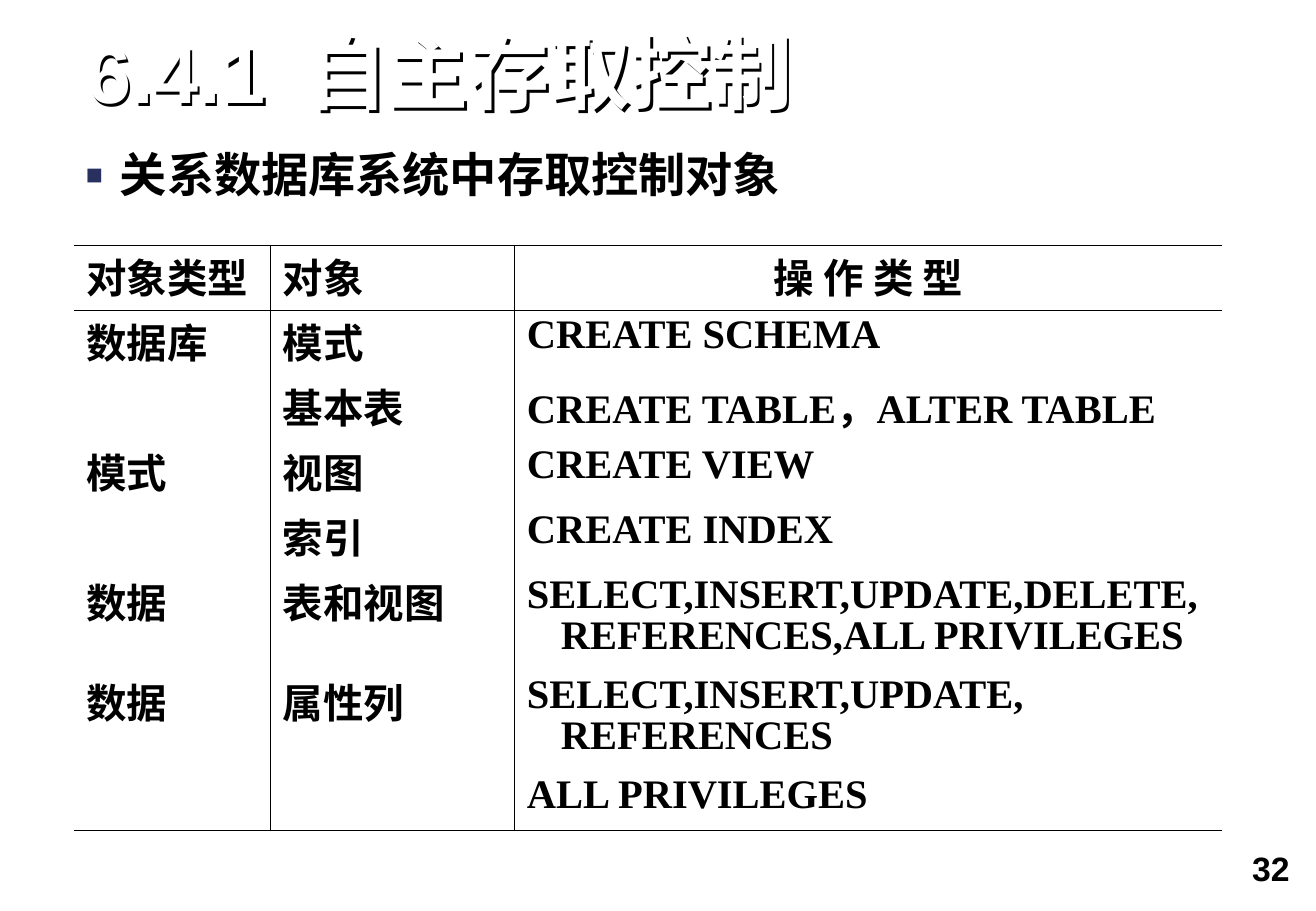
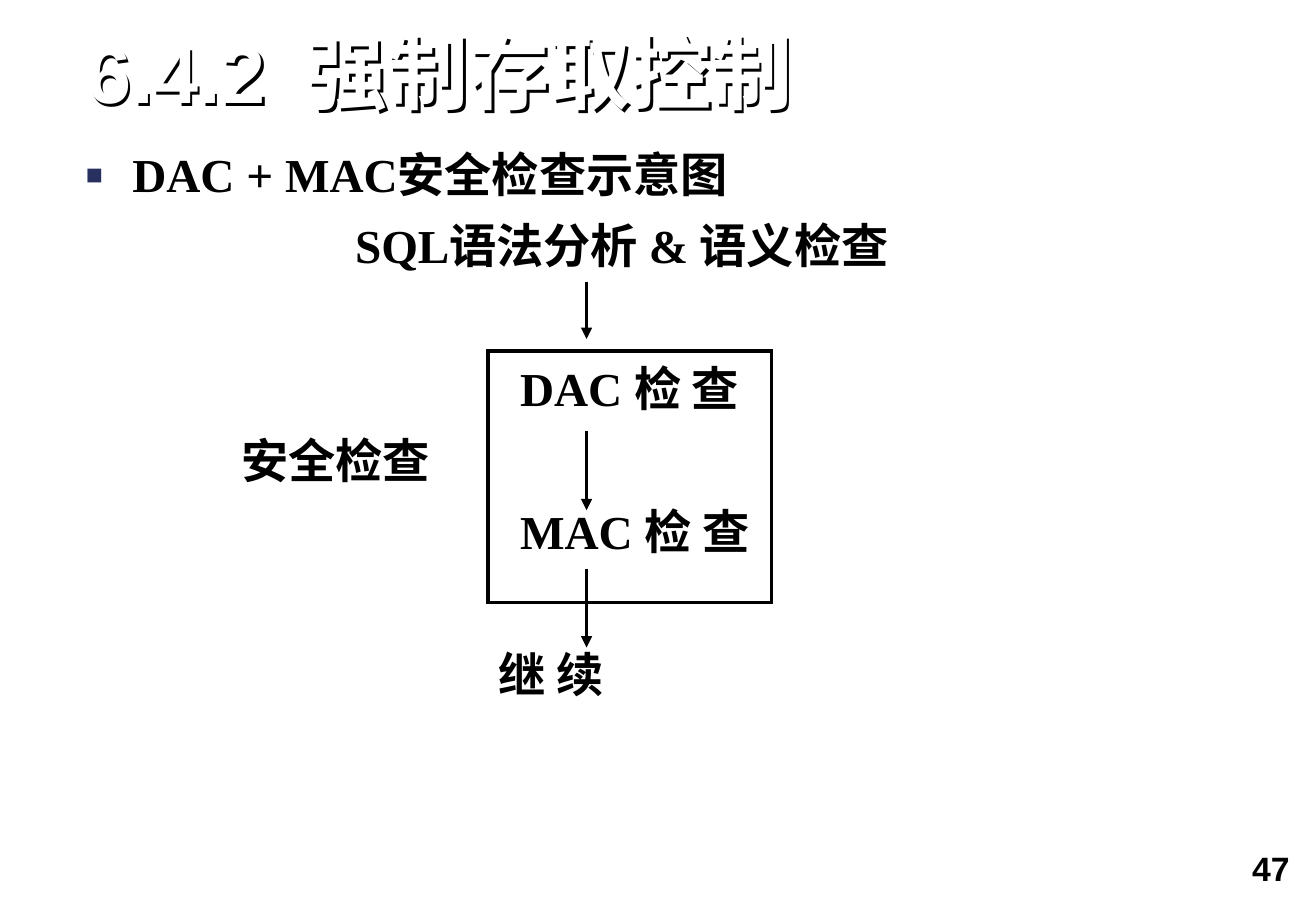
"""Builds two slides on database access control."""
from lxml import etree
from pptx import Presentation
from pptx.dml.color import RGBColor
from pptx.enum.shapes import MSO_CONNECTOR, MSO_SHAPE
from pptx.enum.text import MSO_ANCHOR, MSO_AUTO_SIZE, PP_ALIGN
from pptx.oxml.ns import qn
from pptx.util import Cm, Pt

LEFT, RIGHT, MID = PP_ALIGN.LEFT, PP_ALIGN.RIGHT, PP_ALIGN.CENTER
BOTTOM = MSO_ANCHOR.BOTTOM
GROW = MSO_AUTO_SIZE.SHAPE_TO_FIT_TEXT
LINE, RECT = MSO_CONNECTOR.STRAIGHT, MSO_SHAPE.RECTANGLE
COLORS = {"ink": "000000", "title": "FFFFFF", "mark": "27305F"}
SANS, SERIF = "Arial", "Times New Roman"
HANG, PITCH = 0.71, 0.9

COLS = [4.11, 5.11, 14.8]
ROWS = [1.36] * 5 + [2.09] * 2 + [1.25]
CELLS = [
    ("对象类型", "对象", "操 作 类 型"),
    ("数据库", "模式", "CREATE SCHEMA"),
    ("", "基本表", "CREATE TABLE，ALTER TABLE"),
    ("模式", "视图", "CREATE VIEW"),
    ("", "索引", "CREATE INDEX"),
    ("数据", "表和视图", "SELECT,INSERT,UPDATE,DELETE,REFERENCES,ALL PRIVILEGES"),
    ("数据", "属性列", "SELECT,INSERT,UPDATE, REFERENCES"),
    ("", "", "ALL PRIVILEGES"),
]
STEPS = [
    ("SQL语法分析 & 语义检查", 5.22, 0),
    ("DAC 检 查", 8.67, 54.9),
    ("安全检查", 2.84, 12.2),
    ("MAC 检 查", 8.67, 12.2),
    ("继 续", 8.22, 54),
]
ARROWS = [(5.89, 7.09), (9.02, 10.67), (11.89, 13.54)]


def color(name):
    """Return a named colour."""
    return RGBColor.from_string(COLORS[name])


def add(parent, tag, **attrs):
    """Append a drawing element with its attributes."""
    node = etree.SubElement(parent, qn(tag))
    for key, value in attrs.items():
        node.set(key, str(value))
    return node


def add_run(para, text, size, face=SERIF, ink="ink"):
    """Add one bold run."""
    run = para.add_run()
    run.text = text
    font = run.font
    font.size, font.name, font.bold = Pt(size), face, True
    font.color.rgb = color(ink)


def indent(para, left, first=0):
    """Set the left and first-line indents in centimetres."""
    props = para._p.get_or_add_pPr()
    props.set("marL", str(Cm(left)))
    props.set("indent", str(Cm(first)))
    return props


def add_box(slide, x, y, w, h, pad=(0, 0)):
    """Add a wrapping text box and return its frame."""
    frame = slide.shapes.add_textbox(Cm(x), Cm(y), Cm(w), Cm(h)).text_frame
    frame.word_wrap = True
    frame.margin_left = frame.margin_right = Cm(pad[0])
    frame.margin_top = frame.margin_bottom = Cm(pad[1])
    return frame


def add_title(slide, text):
    """Place the title with its white, shadowed text."""
    title = slide.shapes.title
    title.left, title.top = Cm(1.8), Cm(0.71)
    title.width, title.height = Cm(24.51), Cm(1.83)
    title.fill.background()
    glow = add(title._element.spPr, "a:effectLst")
    shade = add(glow, "a:outerShdw", blurRad=0, dist=Pt(2), dir=2700000,
                algn="tl", rotWithShape=0)
    add(shade, "a:srgbClr", val=COLORS["ink"])
    frame = title.text_frame
    frame.margin_left = frame.margin_right = 0
    frame.margin_top = frame.margin_bottom = 0
    frame.vertical_anchor, frame.auto_size = BOTTOM, GROW
    para = frame.paragraphs[0]
    tabs = add(para._p.get_or_add_pPr(), "a:tabLst")
    add(tabs, "a:tab", pos=Cm(4.62), algn="l")
    para.alignment, para.line_spacing = LEFT, PITCH
    add_run(para, text, 48, SANS, "title")


def add_point(slide, text, hang):
    """Add the line with a square bullet."""
    para = add_box(slide, 1.8, 3.18, 24.51, 1.07).paragraphs[0]
    props = indent(para, hang, -hang)
    add(add(props, "a:buClr"), "a:srgbClr", val=COLORS["mark"])
    add(props, "a:buSzPct", val=60000)
    add(props, "a:buFont", typeface=SANS)
    add(props, "a:buChar", char="■")
    para.line_spacing = PITCH
    add_run(para, text, 28)


def add_slide(deck, title, point, hang, page):
    """Add a slide with title, bullet line and page number."""
    slide = deck.slides.add_slide(deck.slide_layouts[5])
    add_title(slide, title)
    add_point(slide, point, hang)
    para = add_box(slide, 20.35, 17.58, 6.96, 1.47, (0.33, 0.15)).paragraphs[0]
    para.alignment = RIGHT
    add_run(para, page, 20, SANS)
    return slide


def set_edges(cell, shown):
    """Draw the shown cell borders and clear the others."""
    props = cell._tc.get_or_add_tcPr()
    for side in "LRTB":
        edge = add(props, "a:ln" + side, w=Pt(0.45))
        if side in shown:
            add(add(edge, "a:solidFill"), "a:srgbClr", val=COLORS["ink"])
        else:
            add(edge, "a:noFill")


def add_grid(slide):
    """Add the table of objects and operations."""
    table = slide.shapes.add_table(len(ROWS), len(COLS), Cm(1.55), Cm(5.13),
                                   Cm(sum(COLS)), Cm(sum(ROWS))).table
    table.first_row = table.horz_banding = False
    for col, width in zip(table.columns, COLS):
        col.width = Cm(width)
    last_row, last_col = len(ROWS) - 1, len(COLS) - 1
    for r, texts in enumerate(CELLS):
        table.rows[r].height = Cm(ROWS[r])
        for c, text in enumerate(texts):
            cell = table.cell(r, c)
            shown = ("L" if c else "") + ("R" if c < last_col else "")
            shown += "T" if r < 2 else ""
            shown += "B" if r in (0, last_row) else ""
            set_edges(cell, shown)
            cell.fill.background()
            if text:
                para = cell.text_frame.paragraphs[0]
                indent(para, HANG, -HANG)
                para.line_spacing = PITCH
                para.alignment = MID if r == 0 and c == last_col else LEFT
                add_run(para, text, 24)


def add_steps(slide):
    """Add the labels of the check flow."""
    frame = add_box(slide, 1.96, 4.52, 18.54, 10.21, (0.25, 0.13))
    for i, (text, left, gap) in enumerate(STEPS):
        para = frame.add_paragraph() if i else frame.paragraphs[0]
        indent(para, left)
        para.line_spacing = PITCH
        if gap:
            para.space_before = Pt(gap)
        add_run(para, text, 28)


def add_frame(slide, x, y, w, h):
    """Add an unfilled rectangle with sharp corners."""
    shape = slide.shapes.add_shape(RECT, Cm(x), Cm(y), Cm(w), Cm(h))
    shape.shadow.inherit = False
    shape.fill.background()
    shape.line.color.rgb, shape.line.width = color("ink"), Pt(2.25)
    add(shape.line._get_or_add_ln(), "a:miter", lim=800000)


def add_arrow(slide, x, top, end):
    """Add a downward arrow."""
    arrow = slide.shapes.add_connector(LINE, Cm(x), Cm(top), Cm(x), Cm(end))
    arrow.line.color.rgb, arrow.line.width = color("ink"), Pt(2.25)
    add(arrow.line._get_or_add_ln(), "a:tailEnd", type="triangle")
    add(arrow._element.spPr, "a:effectLst")


def main():
    """Build and save the deck."""
    deck = Presentation()
    deck.slide_width, deck.slide_height = Cm(27.53), Cm(19.05)
    slide = add_slide(deck, "6.4.1\t自主存取控制",
                      "关系数据库系统中存取控制对象", HANG, "32")
    add_grid(slide)
    slide = add_slide(deck, "6.4.2\t强制存取控制",
                      "DAC + MAC安全检查示意图", 0.97, "47")
    add_steps(slide)
    add_frame(slide, 10.21, 7.34, 5.93, 5.26)
    for top, end in ARROWS:
        add_arrow(slide, 12.27, top, end)
    deck.save("out.pptx")


if __name__ == "__main__":
    main()
